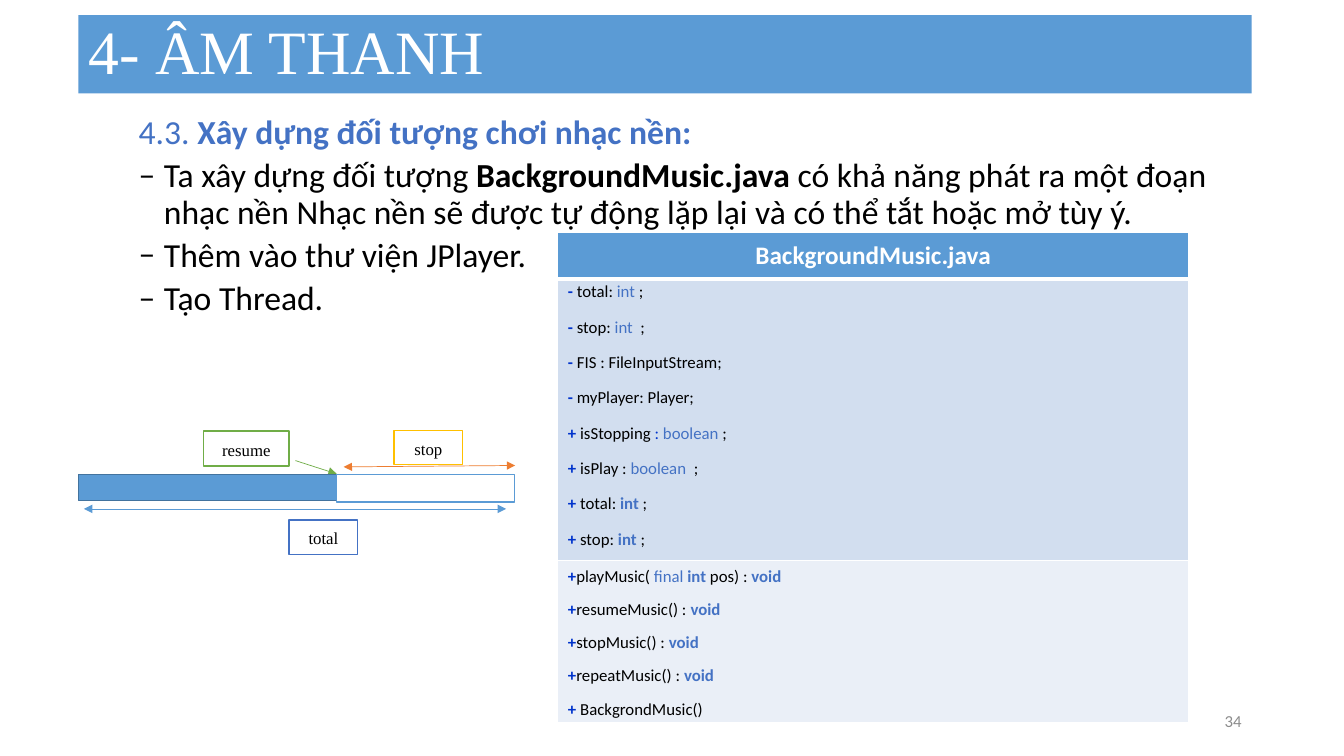
from typing import NamedTuple, Optional

from lxml.etree import SubElement
from pptx import Presentation
from pptx.dml.color import RGBColor
from pptx.enum.shapes import MSO_CONNECTOR as Connector, MSO_SHAPE as Shape
from pptx.enum.text import MSO_ANCHOR as Anchor, PP_ALIGN as Align
from pptx.oxml.ns import qn
from pptx.util import Pt

WHITE = RGBColor(0xFF, 0xFF, 0xFF)
BLACK = RGBColor(0, 0, 0)
GRAY = RGBColor(0x8C, 0x8C, 0x8C)
SKY = RGBColor(0x5B, 0x9B, 0xD5)
STEEL = RGBColor(0x43, 0x73, 0x9E)
BLUE = RGBColor(0x44, 0x72, 0xC4)
MARK_BLUE = RGBColor(0x00, 0x33, 0xCC)
GREEN = RGBColor(0x70, 0xAD, 0x47)
ORANGE = RGBColor(0xED, 0x7D, 0x31)
GOLD = RGBColor(0xFF, 0xC0, 0x00)
FIELD_FILL = RGBColor(0xD2, 0xDE, 0xEF)
METHOD_FILL = RGBColor(0xEA, 0xEF, 0xF7)
SANS = "Calibri"
SERIF = "Times New Roman"


class Run(NamedTuple):
    text: str
    color: RGBColor = BLACK
    bold: bool = False


class Box(NamedTuple):
    left: float
    top: float
    width: float
    height: float
    fill: RGBColor
    line: RGBColor
    label: str = ""


class Arrow(NamedTuple):
    start: tuple[float, float]
    end: tuple[float, float]
    color: RGBColor
    both_ends: bool = True


def mark(sign: str) -> Run:
    return Run(sign, MARK_BLUE, True)


def keyword(text: str, bold: bool = False) -> Run:
    return Run(text, BLUE, bold)


VOID = keyword("void", True)
BODY = [
    [keyword("4.3. "), keyword("Xây dựng đối tượng chơi nhạc nền:", True)],
    [Run("Ta xây dựng đối tượng "), Run("BackgroundMusic.java ", bold=True),
     Run("có khả năng phát ra một đoạn nhạc nền Nhạc nền sẽ được tự động "
         "lặp lại và có thể tắt hoặc mở tùy ý.")],
    [Run("Thêm vào thư viện JPlayer.")],
    [Run("Tạo Thread.")],
]
FIELDS = [
    [mark("- "), Run("total: "), keyword("int "), Run(";")],
    [mark("- "), Run("stop: "), keyword("int"), Run("  ;")],
    [mark("- "), Run("FIS : FileInputStream;")],
    [mark("- "), Run("myPlayer: Player;")],
    [mark("+ "), Run("isStopping "), Run(": ", MARK_BLUE), keyword("boolean "), Run(";")],
    [mark("+ "), Run("isPlay : "), keyword("boolean  "), Run(";")],
    [mark("+ "), Run("total: "), keyword("int ", True), Run(";")],
    [mark("+ "), Run("stop: "), keyword("int ", True), Run(";")],
]
METHODS = [
    [mark("+"), Run("playMusic( "), keyword("final "), keyword("int ", True),
     Run("pos) : "), VOID],
    *([mark("+"), Run(f"{name}() : "), VOID]
      for name in ("resumeMusic", "stopMusic", "repeatMusic")),
    [mark("+ "), Run("BackgrondMusic()")],
]
ARROWS = [
    Arrow((211, 329), (240.5, 338.5), GREEN, both_ends=False),
    Arrow((245.5, 333.5), (368, 332.5), ORANGE),
    Arrow((60, 363.5), (361.5, 363.5), SKY),
]
BOXES = [
    Box(56, 339, 184.5, 18.5, SKY, STEEL),
    Box(240.5, 339, 127, 19.5, WHITE, SKY),
    Box(206.5, 371.5, 49, 24.5, WHITE, BLUE, "total"),
    Box(281.5, 307.5, 49, 24.5, WHITE, GOLD, "stop"),
    Box(145.5, 308, 61, 25, WHITE, GREEN, "resume"),
]


def write_lines(frame, lines: list[list[Run]], size: float, spacing,
                before: float = 0, after: float = 0,
                align: Optional[Align] = None, font: str = SANS) -> None:
    for index, runs in enumerate(lines):
        paragraph = frame.add_paragraph() if index else frame.paragraphs[0]
        paragraph.alignment = align
        paragraph.line_spacing = spacing
        paragraph.space_before = Pt(before)
        paragraph.space_after = Pt(after)
        paragraph.font.size = Pt(size)
        paragraph.font.name = font
        for item in runs:
            run = paragraph.add_run()
            run.text = item.text
            run.font.color.rgb = item.color
            run.font.bold = item.bold


def set_indent(paragraph, margin: float, hanging: float, bullet: str = "") -> None:
    properties = paragraph._p.get_or_add_pPr()
    properties.set("marL", str(Pt(margin)))
    properties.set("indent", str(-Pt(hanging)))
    if bullet:
        SubElement(properties, qn("a:buFont"), typeface=SANS)
        SubElement(properties, qn("a:buChar"), char=bullet)


def fill_cell(cell, color: RGBColor, bottom_width: float = 1) -> None:
    properties = cell._tc.get_or_add_tcPr()
    for side in ("L", "R", "T", "B"):
        width = bottom_width if side == "B" else 1
        border = SubElement(properties, qn(f"a:ln{side}"), w=str(Pt(width)))
        SubElement(SubElement(border, qn("a:solidFill")), qn("a:srgbClr"), val=str(WHITE))
    cell.fill.solid()
    cell.fill.fore_color.rgb = color


def add_class_table(shapes) -> None:
    heights = (33.5, 201, 116)
    table = shapes.add_table(3, 1, Pt(398.5), Pt(165.75), Pt(450.5), Pt(sum(heights))).table
    for row, height in zip(table.rows, heights):
        row.height = Pt(height)
    header, fields, methods = (table.cell(row, 0) for row in range(3))
    fill_cell(header, SKY, bottom_width=3)
    fill_cell(fields, FIELD_FILL)
    fill_cell(methods, METHOD_FILL)
    header.vertical_anchor = Anchor.MIDDLE
    fields.margin_bottom = methods.margin_bottom = 0
    write_lines(header.text_frame, [[Run("BackgroundMusic.java", WHITE, True)]],
                18, 1.0, align=Align.CENTER)
    write_lines(fields.text_frame, FIELDS, 12, Pt(13.2), 6, 6, Align.JUSTIFY)
    write_lines(methods.text_frame, METHODS, 12, 1.07, 0, 8, Align.JUSTIFY)


def add_arrow(shapes, arrow: Arrow) -> None:
    points = [Pt(value) for value in (*arrow.start, *arrow.end)]
    connector = shapes.add_connector(Connector.STRAIGHT, *points)
    connector.line.color.rgb = arrow.color
    connector.line.width = Pt(0.5)
    line = connector.line._get_or_add_ln()
    for end in ("headEnd", "tailEnd") if arrow.both_ends else ("tailEnd",):
        SubElement(line, qn(f"a:{end}"), type="triangle")
    SubElement(connector._element.spPr, qn("a:effectLst"))


def add_box(shapes, box: Box) -> None:
    shape = shapes.add_shape(Shape.RECTANGLE, Pt(box.left), Pt(box.top),
                             Pt(box.width), Pt(box.height))
    shape.shadow.inherit = False
    shape.fill.solid()
    shape.fill.fore_color.rgb = box.fill
    shape.line.color.rgb = box.line
    shape.line.width = Pt(1)
    if box.label:
        shape.text_frame.vertical_anchor = Anchor.MIDDLE
        write_lines(shape.text_frame, [[Run(box.label)]], 12, 1.07, 0, 8,
                    Align.CENTER, SERIF)


def main() -> None:
    presentation = Presentation()
    presentation.slide_width, presentation.slide_height = Pt(960), Pt(540)
    slide = presentation.slides.add_slide(presentation.slide_layouts[5])
    shapes = slide.shapes

    title = shapes.title
    title.left, title.top, title.width, title.height = Pt(56), Pt(10.75), Pt(838), Pt(56)
    title.fill.solid()
    title.fill.fore_color.rgb = SKY
    title.text_frame.vertical_anchor = Anchor.MIDDLE
    write_lines(title.text_frame, [[Run("4- ÂM THANH", WHITE)]], 44, 0.9,
                align=Align.LEFT, font=SERIF)

    body = shapes.add_textbox(Pt(56), Pt(79), Pt(828), Pt(406)).text_frame
    body.word_wrap = True
    write_lines(body, BODY, 24, 0.9, before=5)
    heading, *bullets = body.paragraphs
    set_indent(heading, 36, 0)
    for paragraph in bullets:
        set_indent(paragraph, 54, 18, "–")

    number = shapes.add_textbox(Pt(678), Pt(500.5), Pt(216), Pt(28.75)).text_frame
    number.word_wrap = True
    number.vertical_anchor = Anchor.MIDDLE
    write_lines(number, [[Run("34", GRAY)]], 12, 1.0, align=Align.RIGHT)

    add_class_table(shapes)
    timeline = shapes.add_group_shape().shapes
    for arrow in ARROWS:
        add_arrow(timeline, arrow)
    for box in BOXES:
        add_box(timeline, box)

    presentation.save("out.pptx")


if __name__ == "__main__":
    main()
